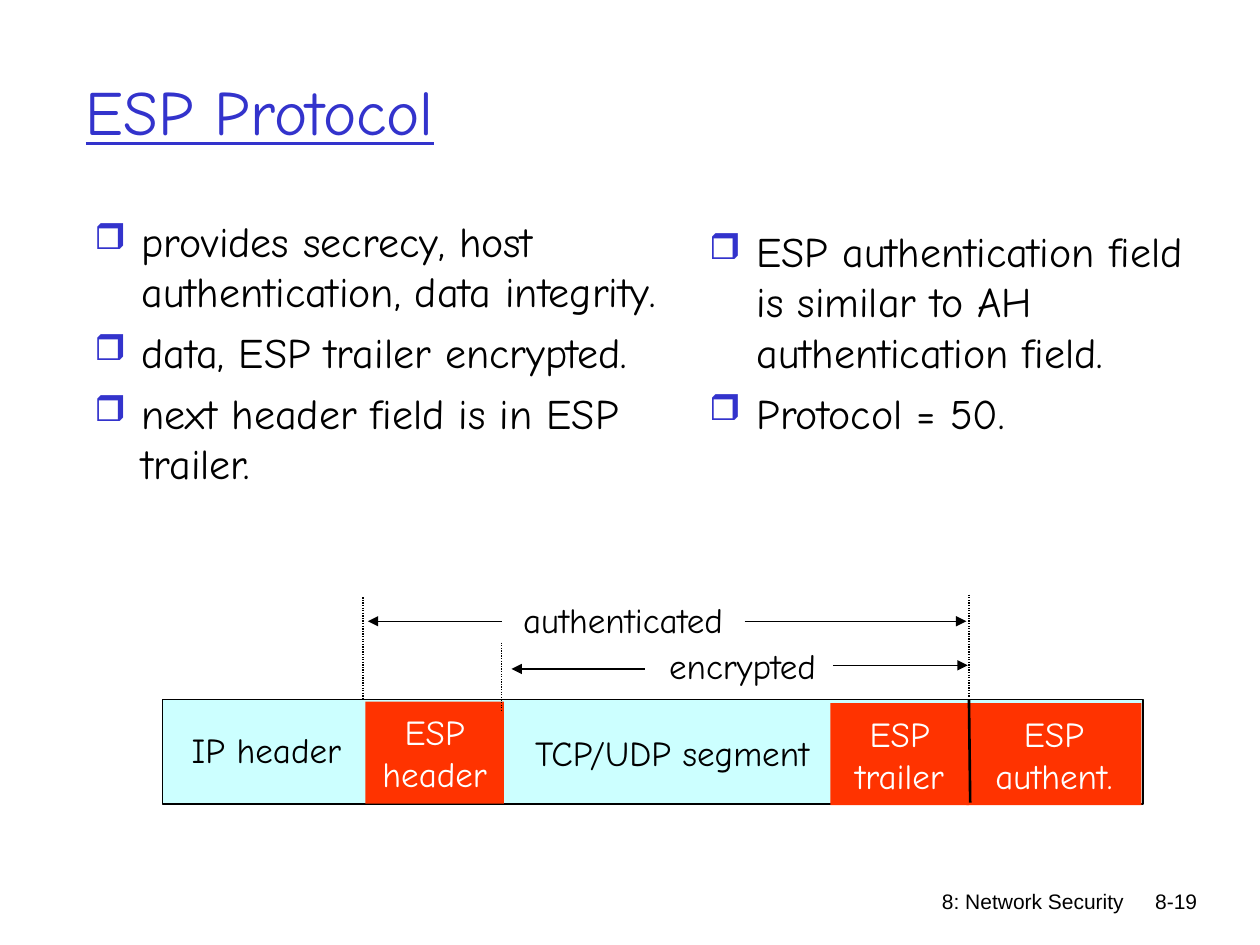
from typing import NamedTuple

from lxml.etree import SubElement
from pptx import Presentation
from pptx.dml.color import RGBColor
from pptx.enum.dml import MSO_LINE
from pptx.enum.shapes import MSO_CONNECTOR, MSO_SHAPE
from pptx.enum.text import MSO_ANCHOR, PP_ALIGN
from pptx.oxml.ns import qn
from pptx.util import Pt

COLORS = {
    "title": "3333CC",
    "text": "000000",
    "plain": "CCFFFF",
    "esp": "FF3300",
    "esp_text": "FFFFFF",
}
HAND, SANS = "Comic Neue", "Arial"


class Box(NamedTuple):
    left: float
    top: float
    width: float
    height: float


class Label(NamedTuple):
    text: str
    box: Box
    size: float = 20
    font: str = HAND
    align: PP_ALIGN = PP_ALIGN.CENTER
    wrap: bool = False


class BulletList(NamedTuple):
    box: Box
    items: tuple[str, ...]


class Field(NamedTuple):
    lines: tuple[str, ...]
    box: Box


class Line(NamedTuple):
    x1: float
    y1: float
    x2: float
    y2: float
    width: float = 0.75
    dotted: bool = False
    arrow: str = ""


BULLETS = [
    BulletList(Box(46.8, 119.5, 347, 195), (
        "provides secrecy, host authentication, data integrity.",
        "data, ESP trailer encrypted.",
        "next header field is in ESP trailer.",
    )),
    BulletList(Box(398.2, 125.3, 300.2, 193.7), (
        "ESP authentication field is similar to AH authentication field.",
        "Protocol = 50.",
    )),
]
PACKET = Box(92.9, 399.6, 560.2, 59.8)
ESP_FIELDS = [
    Field(("ESP", "header"), Box(208.8, 401, 79.2, 58.3)),
    Field(("ESP", "trailer"), Box(474.5, 401.8, 79.2, 58.3)),
    Field(("ESP", "authent."), Box(552.2, 401.8, 100.1, 58.3)),
]
LABELS = [
    Label("IP header", Box(102.2, 412.6, 100.1, 31.7)),
    Label("TCP/UDP segment", Box(297.4, 414.7, 173.5, 31.7)),
    Label("encrypted", Box(375.1, 365, 98.6, 31.7)),
    Label("authenticated", Box(291.6, 338.4, 128.9, 31.7)),
    Label("8: Network Security", Box(421.2, 504, 228.2, 36), 12, SANS, PP_ALIGN.RIGHT, True),
    Label("8-19", Box(633.6, 504, 57.6, 23), 12, SANS, PP_ALIGN.RIGHT, True),
]
LINES = [
    Line(553.7, 399.6, 554.4, 458.6, width=1.5),
    Line(475.9, 380.2, 553, 380.2, arrow="tailEnd"),
    Line(292.3, 382.3, 368.6, 382.3, arrow="headEnd"),
    Line(210.2, 355, 286.6, 355, arrow="headEnd"),
    Line(425.5, 355, 552.2, 355, arrow="tailEnd"),
    Line(207.4, 341.3, 207.4, 399.6, dotted=True),
    Line(553.7, 339.8, 553.7, 398.2, dotted=True),
    Line(286.6, 367.2, 286.6, 406.1, dotted=True),
]


def rgb(name: str) -> RGBColor:
    return RGBColor.from_string(COLORS[name])


def points(box: Box) -> list[Pt]:
    return [Pt(v) for v in box]


def add_run(p, text: str, size: float, font: str = HAND, color: str = "text"):
    r = p.add_run()
    r.text = text
    r.font.size = Pt(size)
    r.font.name = font
    r.font.color.rgb = rgb(color)
    return r


def add_title(s, text: str, box: Box) -> None:
    sp = s.shapes.title
    sp.left, sp.top, sp.width, sp.height = points(box)
    tf = sp.text_frame
    tf.vertical_anchor = MSO_ANCHOR.MIDDLE
    p = tf.paragraphs[0]
    p.alignment = PP_ALIGN.LEFT
    add_run(p, text, 36, color="title").font.underline = True


def set_bullet(p) -> None:
    """Give the paragraph a hanging, coloured square bullet."""
    pPr = p._p.get_or_add_pPr()
    pPr.set("marL", str(Pt(27)))
    pPr.set("indent", str(-Pt(27)))
    color = SubElement(pPr, qn("a:buClr"))
    SubElement(color, qn("a:srgbClr"), val=COLORS["title"])
    SubElement(pPr, qn("a:buSzPct"), val="85000")
    SubElement(pPr, qn("a:buChar"), char="❒")


def add_bullets(s, bullets: BulletList) -> None:
    tf = s.shapes.add_textbox(*points(bullets.box)).text_frame
    tf.word_wrap = True
    for i, item in enumerate(bullets.items):
        p = tf.add_paragraph() if i else tf.paragraphs[0]
        set_bullet(p)
        if i:
            p.space_before = Pt(6)
        add_run(p, item, 24)


def add_label(s, label: Label) -> None:
    tf = s.shapes.add_textbox(*points(label.box)).text_frame
    tf.word_wrap = label.wrap
    p = tf.paragraphs[0]
    p.alignment = label.align
    add_run(p, label.text, label.size, label.font)


def add_rect(s, box: Box, fill: str):
    sp = s.shapes.add_shape(MSO_SHAPE.RECTANGLE, *points(box))
    sp.shadow.inherit = False
    sp.fill.solid()
    sp.fill.fore_color.rgb = rgb(fill)
    return sp


def add_packet(s, box: Box) -> None:
    sp = add_rect(s, box, "plain")
    sp.line.color.rgb = rgb("text")
    sp.line.width = Pt(0.75)


def add_field(s, field: Field) -> None:
    sp = add_rect(s, field.box, "esp")
    sp.line.fill.background()
    tf = sp.text_frame
    tf.word_wrap = False
    tf.vertical_anchor = MSO_ANCHOR.MIDDLE
    for i, text in enumerate(field.lines):
        p = tf.add_paragraph() if i else tf.paragraphs[0]
        p.alignment = PP_ALIGN.CENTER
        add_run(p, text, 20, color="esp_text")


def add_line(s, line: Line) -> None:
    ends = [Pt(v) for v in line[:4]]
    cx = s.shapes.add_connector(MSO_CONNECTOR.STRAIGHT, *ends)
    cx.line.color.rgb = rgb("text")
    cx.line.width = Pt(line.width)
    if line.dotted:
        cx.line.dash_style = MSO_LINE.ROUND_DOT
    if line.arrow:
        SubElement(cx.line._get_or_add_ln(), qn(f"a:{line.arrow}"), type="triangle")
    SubElement(cx._element.spPr, qn("a:effectLst"))


def main() -> None:
    prs = Presentation()
    prs.slide_width, prs.slide_height = Pt(720), Pt(540)
    s = prs.slides.add_slide(prs.slide_layouts[5])
    add_title(s, "ESP Protocol", Box(41.8, 18, 612, 90))
    for bullets in BULLETS:
        add_bullets(s, bullets)
    add_packet(s, PACKET)
    for field in ESP_FIELDS:
        add_field(s, field)
    for label in LABELS:
        add_label(s, label)
    for line in LINES:
        add_line(s, line)
    prs.save("out.pptx")


if __name__ == "__main__":
    main()
